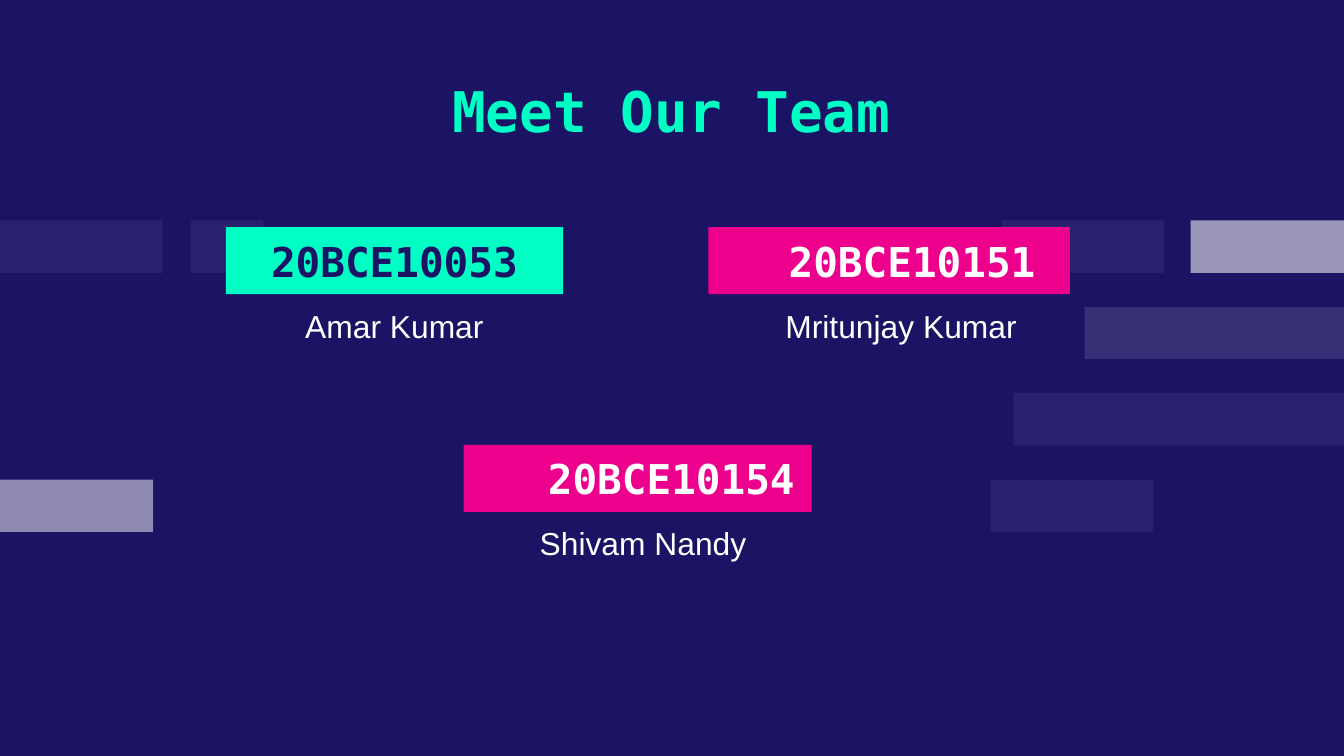
from pptx import Presentation
from pptx.dml.color import RGBColor
from pptx.enum.shapes import MSO_SHAPE
from pptx.enum.text import MSO_ANCHOR, MSO_AUTO_SIZE, PP_ALIGN
from pptx.oxml.ns import qn
from pptx.util import Inches, Pt
from lxml import etree

RECTANGLE = MSO_SHAPE.RECTANGLE
TOP, MIDDLE = MSO_ANCHOR.TOP, MSO_ANCHOR.MIDDLE
LEFT, CENTER = PP_ALIGN.LEFT, PP_ALIGN.CENTER
NO_AUTOFIT = MSO_AUTO_SIZE.NONE

COLORS = {"navy": "1B1464", "mint": "00FFC5", "pink": "EC008C", "white": "FFFFFF"}
HEADING_FONT, BODY_FONT = "DejaVu Sans Mono", "Arial"

presentation = Presentation()
presentation.slide_width = Inches(10)
presentation.slide_height = presentation.slide_width * 9 // 16
column = presentation.slide_width / 10
bar_row = presentation.slide_height / 8.75
bars_top = column * 1.64
bar_height = column * 0.39

slide = presentation.slides.add_slide(presentation.slide_layouts[5])
slide.background.fill.solid()
slide.background.fill.fore_color.rgb = RGBColor.from_string(COLORS["navy"])


def add_block(left, top, width, height, color):
    block = slide.shapes.add_shape(RECTANGLE, int(left), int(top), int(width), int(height))
    block.shadow.inherit = False
    block.line.fill.background()
    block.fill.solid()
    block.fill.fore_color.rgb = RGBColor.from_string(COLORS[color])
    return block


def write_text(shape, text, font_name, size, color, bold, anchor, inset_top=0.1, alignment=CENTER):
    frame = shape.text_frame
    frame.word_wrap = True
    frame.auto_size = NO_AUTOFIT
    frame.vertical_anchor = anchor
    frame.margin_left = frame.margin_right = frame.margin_bottom = Inches(0.1)
    frame.margin_top = Inches(inset_top)
    frame.text = text
    paragraph = frame.paragraphs[0]
    paragraph.alignment = alignment
    paragraph.font.name = font_name
    paragraph.font.size = Pt(size)
    paragraph.font.bold = bold
    paragraph.font.color.rgb = RGBColor.from_string(COLORS[color])
    return paragraph


background_bars = [
    (1, 8.07, 1.93, 12),
    (0, 7.45, 1.21, 6),
    (2, 7.54, 2.46, 6),
    (0, 8.86, 1.14, 56),
    (3, 7.37, 1.21, 6),
    (3, 0, 1.14, 50),
    (0, 0, 1.21, 6),
    (0, 1.42, 0.54, 6),
]
for row, left, width, opacity in background_bars:
    bar = add_block(left * column, bars_top + row * bar_row, width * column, bar_height, "white")
    color_element = bar.element.spPr.find(qn("a:solidFill"))[0]
    etree.SubElement(color_element, qn("a:alpha"), val=str(opacity * 1000))

members = [
    ("20BCE10053", "Amar Kumar", 4.19, 1.69, 2.51, "mint", "navy", CENTER, 0),
    ("20BCE10151", "Mritunjay Kumar", 7.96, 1.69, 2.69, "pink", "white", LEFT, 0.5),
    ("20BCE10154", "Shivam Nandy", 6.04, 3.31, 2.59, "pink", "white", CENTER, 0.5),
]
name_width = 2.51 * column
card_height = 0.5 * column
name_offset = 0.59 * column
for number, name, right, top, width, fill, ink, alignment, indent in members:
    badge = add_block((right - width) * column, top * column, width * column, card_height, fill)
    paragraph = write_text(badge, number, HEADING_FONT, 22, ink, True, MIDDLE, alignment=alignment)
    paragraph._p.get_or_add_pPr().set("marL", str(Inches(indent)))
    name_box = slide.shapes.add_textbox(
        int(right * column - name_width), int(top * column + name_offset), int(name_width), int(card_height)
    )
    write_text(name_box, name, BODY_FONT, 17, "white", False, TOP, inset_top=0)

title = slide.shapes.title
title.left, title.top = int(0.2 * column), int(0.47 * column)
title.width, title.height = int(9.59 * column), int(0.71 * column)
write_text(title, "Meet Our Team", HEADING_FONT, 30, "mint", True, TOP)

presentation.save("out.pptx")
